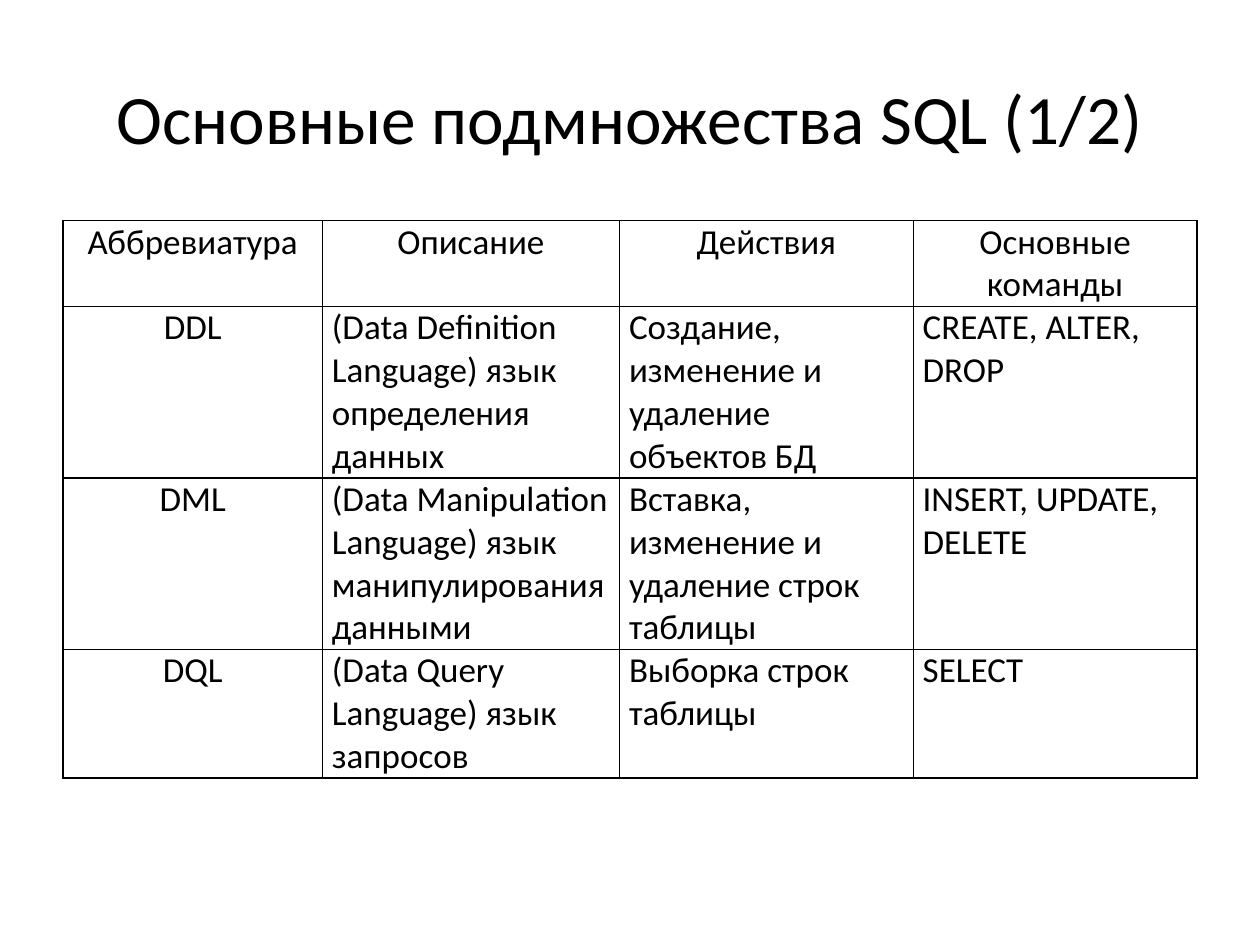
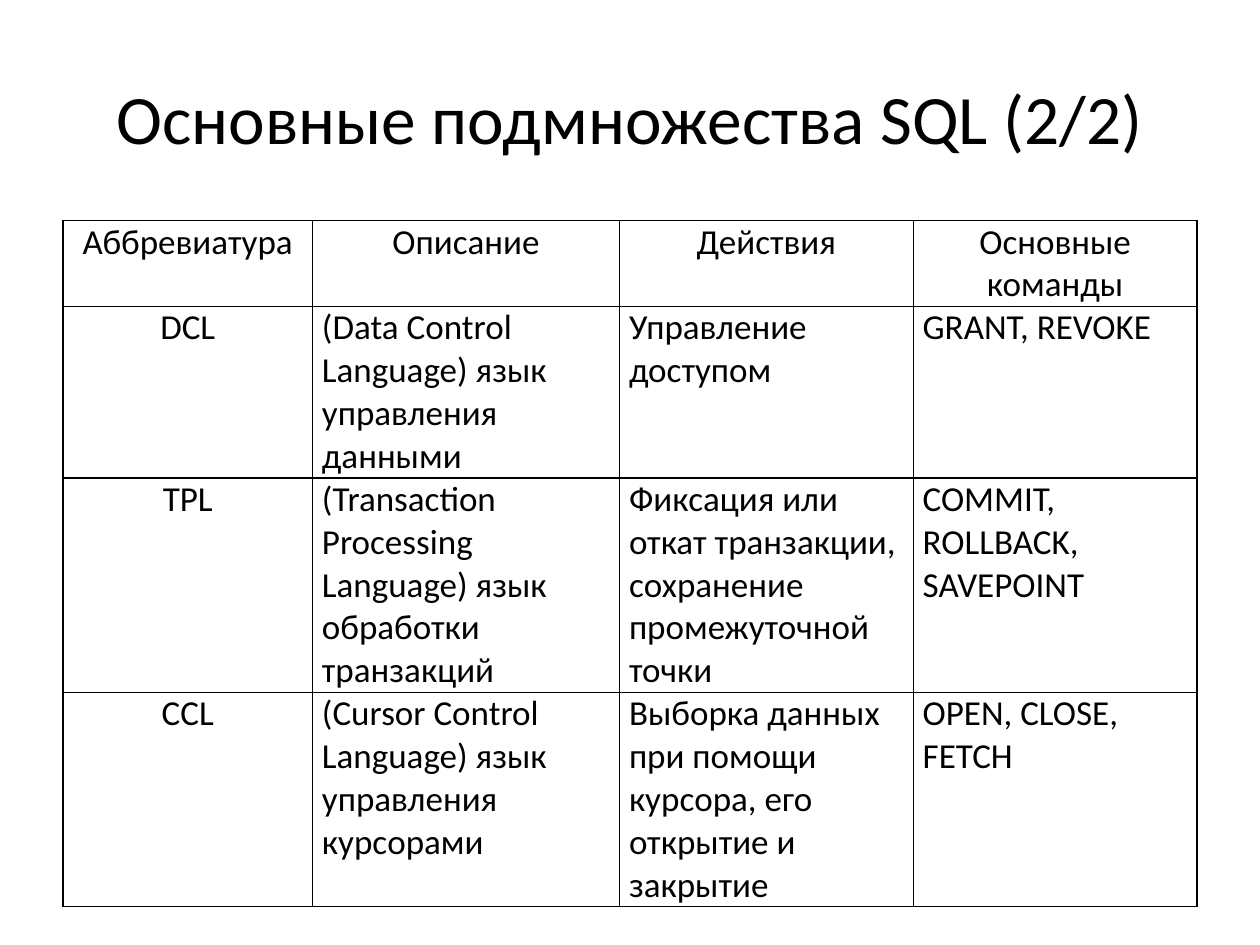
"""Builds two slides with tables of the main SQL subsets."""
from pptx import Presentation
from pptx.dml.color import RGBColor
from pptx.enum.text import MSO_ANCHOR, MSO_AUTO_SIZE, PP_ALIGN
from pptx.oxml import parse_xml
from pptx.oxml.ns import nsdecls
from pptx.util import Cm, Pt

TITLE = "Основные подмножества SQL ({}/{})"
HEADER = ("Аббревиатура", "Описание", "Действия", "Основные команды")
TABLES = [
    {
        "widths": (5.23, 5.99, 5.92, 5.72),
        "rows": [
            ("DDL", "(Data Definition Language) язык определения данных",
             "Создание, изменение и удаление объектов БД", "CREATE, ALTER, DROP"),
            ("DML", "(Data Manipulation Language) язык манипулирования данными",
             "Вставка, изменение и удаление строк таблицы", "INSERT, UPDATE, DELETE"),
            ("DQL", "(Data Query Language) язык запросов",
             "Выборка строк таблицы", "SELECT"),
        ],
    },
    {
        "widths": (5.03, 6.19, 5.92, 5.72),
        "rows": [
            ("DCL", "(Data Control Language) язык управления данными",
             "Управление доступом", "GRANT, REVOKE"),
            ("TPL", "(Transaction Processing Language) язык обработки транзакций",
             "Фиксация или откат транзакции, сохранение промежуточной точки",
             "COMMIT, ROLLBACK, SAVEPOINT"),
            ("CCL", "(Cursor Control Language) язык управления курсорами",
             "Выборка данных при помощи курсора, его открытие и закрытие",
             "OPEN, CLOSE, FETCH"),
        ],
    },
]

BLACK = RGBColor(0, 0, 0)
FONT = "Calibri"
LEFT, WIDTH = Cm(1.27), Cm(22.86)
TABLE_TOP, ROW_HEIGHT = Cm(4.45), Cm(1.04)
TITLE_BOX = {"left": LEFT, "top": Cm(0.76), "width": WIDTH, "height": Cm(3.18)}
TITLE_FRAME = {"auto_size": MSO_AUTO_SIZE.NONE, "word_wrap": True,
               "vertical_anchor": MSO_ANCHOR.MIDDLE}
TITLE_FONT = {"name": FONT, "size": Pt(39.6)}
CELL_FONT = {"name": FONT, "size": Pt(20), "bold": False}
CELL_FORMAT = {"margin_left": Cm(0.19), "margin_right": Cm(0.19),
               "margin_top": 0, "margin_bottom": 0,
               "vertical_anchor": MSO_ANCHOR.TOP}
PLAIN_TABLE = {"first_row": False, "horz_banding": False}


def apply(target, values):
    for name, value in values.items():
        setattr(target, name, value)


def write(tf, text, font, align):
    p = tf.paragraphs[0]
    p.alignment = align
    r = p.add_run()
    r.text = text
    apply(r.font, font)
    r.font.color.rgb = BLACK


def add_borders(cell):
    tc_pr = cell._tc.get_or_add_tcPr()
    for side in ("lnL", "lnR", "lnT", "lnB"):
        tc_pr.append(parse_xml(
            f'<a:{side} {nsdecls("a")} w="{Pt(1)}"><a:solidFill>'
            f'<a:srgbClr val="{BLACK}"/></a:solidFill></a:{side}>'))


def add_title(s, text):
    title = s.shapes.title
    apply(title, TITLE_BOX)
    apply(title.text_frame, TITLE_FRAME)
    write(title.text_frame, text, TITLE_FONT, PP_ALIGN.CENTER)


def add_subset_table(s, widths, rows):
    grid = [HEADER, *rows]
    table = s.shapes.add_table(len(grid), len(HEADER), LEFT, TABLE_TOP,
                               WIDTH, ROW_HEIGHT * len(grid)).table
    apply(table, PLAIN_TABLE)
    for column, width in zip(table.columns, widths):
        column.width = Cm(width)
    for i, row in enumerate(grid):
        for j, text in enumerate(row):
            cell = table.cell(i, j)
            apply(cell, CELL_FORMAT)
            add_borders(cell)
            cell.fill.background()
            centred = i == 0 or j == 0
            write(cell.text_frame, text, CELL_FONT,
                  PP_ALIGN.CENTER if centred else PP_ALIGN.LEFT)


prs = Presentation()
prs.slide_width, prs.slide_height = Cm(25.4), Cm(19.05)
for number, content in enumerate(TABLES, 1):
    s = prs.slides.add_slide(prs.slide_layouts.get_by_name("Title Only"))
    add_title(s, TITLE.format(number, len(TABLES)))
    add_subset_table(s, **content)
prs.save("out.pptx")
